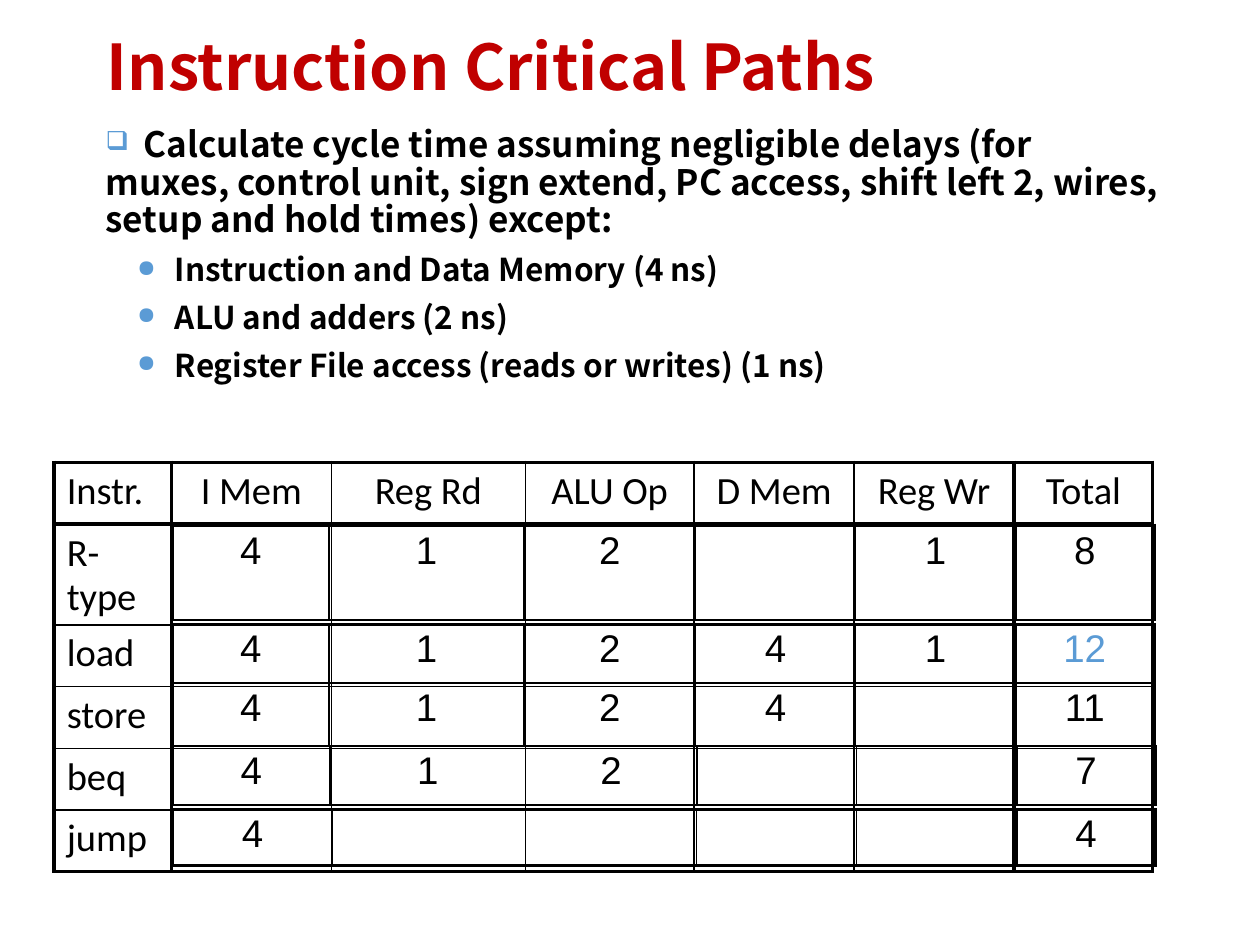
"""Build the slide on instruction critical paths with its timing table."""
from lxml import etree
from pptx import Presentation
from pptx.dml.color import RGBColor
from pptx.enum import text
from pptx.oxml import ns
from pptx.util import Inches, Pt

COLORS = {"title": "C00000", "ink": "000000", "accent": "5B9BD5"}
THIN, THICK = 1, 2.25
HEAD = "Noto Sans CJK SC"


def write(p, content, spacing, color, **fmt):
    p.line_spacing = spacing
    r = p.add_run()
    r.text = content
    r.font.color.rgb = RGBColor.from_string(COLORS[color])
    for name, value in fmt.items():
        setattr(r.font, name, value)


def add_grid(s, left, top, widths, heights, rows, thick_x, thick_y, head_font):
    frame = s.shapes.add_table(len(rows), len(widths), Inches(left), Inches(top),
                               Inches(sum(widths)), Inches(sum(heights)))
    table = frame.table
    table.first_row = table.horz_banding = False
    for col, width in zip(table.columns, widths):
        col.width = Inches(width)
    for i, (row, height) in enumerate(zip(rows, heights)):
        table.rows[i].height = Inches(height)
        for j, content in enumerate(row):
            cell = table.cell(i, j)
            tcPr = cell._tc.get_or_add_tcPr()
            edges = {"lnL": j in thick_x, "lnR": j + 1 in thick_x,
                     "lnT": i in thick_y, "lnB": i + 1 in thick_y}
            for tag, thick in edges.items():
                ln = etree.SubElement(tcPr, ns.qn(f"a:{tag}"), w=str(Pt(THICK if thick else THIN)))
                fill = etree.SubElement(ln, ns.qn("a:solidFill"))
                etree.SubElement(fill, ns.qn("a:srgbClr"), val=COLORS["ink"])
            cell.fill.background()
            if content:
                p = cell.text_frame.paragraphs[0]
                if len(rows) == 1 or j > 0:
                    p.alignment = text.PP_ALIGN.CENTER
                write(p, content, 0.95, "accent" if content == "12" else "ink",
                      size=Pt(22), name=head_font)


prs = Presentation()
prs.slide_width, prs.slide_height = Inches(10), Inches(7.5)
s = prs.slides.add_slide(prs.slide_layouts[6])

title = s.shapes.add_textbox(Inches(0.75), Inches(0.33), Inches(8.58), Inches(0.46))
tf = title.text_frame
for name, value in {"word_wrap": True, "vertical_anchor": text.MSO_ANCHOR.MIDDLE}.items():
    setattr(tf, name, value)
write(tf.paragraphs[0], "Instruction Critical Paths", 0.9, "title",
      size=Pt(36), name=HEAD, bold=True)

header = ["Instr.", "I Mem", "Reg Rd", "ALU Op", "D Mem", "Reg Wr", "Total"]
names = ["R-type", "load", "store", "beq", "jump"]
add_grid(s, 0.43, 3.67, [0.93, 1.27, 1.54, 1.34, 1.27, 1.27, 1.1],
         [0.49, 0.8, 0.49, 0.49, 0.49, 0.49],
         [header] + [[name] + [""] * 6 for name in names],
         {0, 1, 6, 7}, {0, 1, 6}, "Calibri")

timings = [
    (4.17, 0.75, 1.24, 1.55, ["4", "1", "2", "", "1", "8"], {0}),
    (4.95, 0.47, 1.24, 1.55, ["4", "1", "2", "4", "1", "12"], set()),
    (5.42, 0.5, 1.24, 1.55, ["4", "1", "2", "4", "", "11"], set()),
    (5.92, 0.47, 1.25, 1.55, ["4", "1", "2", "", "", "7"], set()),
    (6.42, 0.45, 1.27, 1.53, ["4", "", "", "", "", "4"], {1}),
]
for top, height, mem, reg, values, thick_y in timings:
    add_grid(s, 1.37, top, [mem, reg, 1.36, 1.27, 1.27, 1.1], [height], [values],
             {0, 5, 6}, thick_y, "Arial")

body = s.shapes.add_textbox(Inches(0.74), Inches(0.96), Inches(8.58), Inches(2.24))
tf = body.text_frame
tf.word_wrap = True
points = [
    (0, "\tCalculate cycle time assuming negligible delays (for muxes, control unit, "
        "sign extend, PC access, shift left 2, wires, setup and hold times) except:"),
    (1, "Instruction and Data Memory (4 ns)"),
    (1, "ALU and adders (2 ns)"),
    (1, "Register File access (reads or writes) (1 ns)"),
]
levels = [
    {"bullet": "❑", "margin": 0, "indent": 0, "size": 20, "spacing": 0.9},
    {"bullet": "●", "margin": 0.55, "indent": -0.3, "size": 18, "spacing": 0.85},
]
for i, (level, content) in enumerate(points):
    look = levels[level]
    p = tf.add_paragraph() if i else tf.paragraphs[0]
    p.level = level
    pPr = p._p.get_or_add_pPr()
    pPr.set("marL", str(Inches(look["margin"])))
    pPr.set("indent", str(Inches(look["indent"])))
    color = etree.SubElement(pPr, ns.qn("a:buClr"))
    etree.SubElement(color, ns.qn("a:srgbClr"), val=COLORS["accent"])
    etree.SubElement(pPr, ns.qn("a:buSzPct"), val="75000")
    etree.SubElement(pPr, ns.qn("a:buChar"), char=look["bullet"])
    if level == 0:
        tabs = etree.SubElement(pPr, ns.qn("a:tabLst"))
        etree.SubElement(tabs, ns.qn("a:tab"), pos=str(Inches(0.3)), algn="l")
    if i:
        p.space_before = Pt(look["size"] / 2)
    write(p, content, look["spacing"], "ink", size=Pt(look["size"]), name=HEAD, bold=True)

prs.save("out.pptx")
